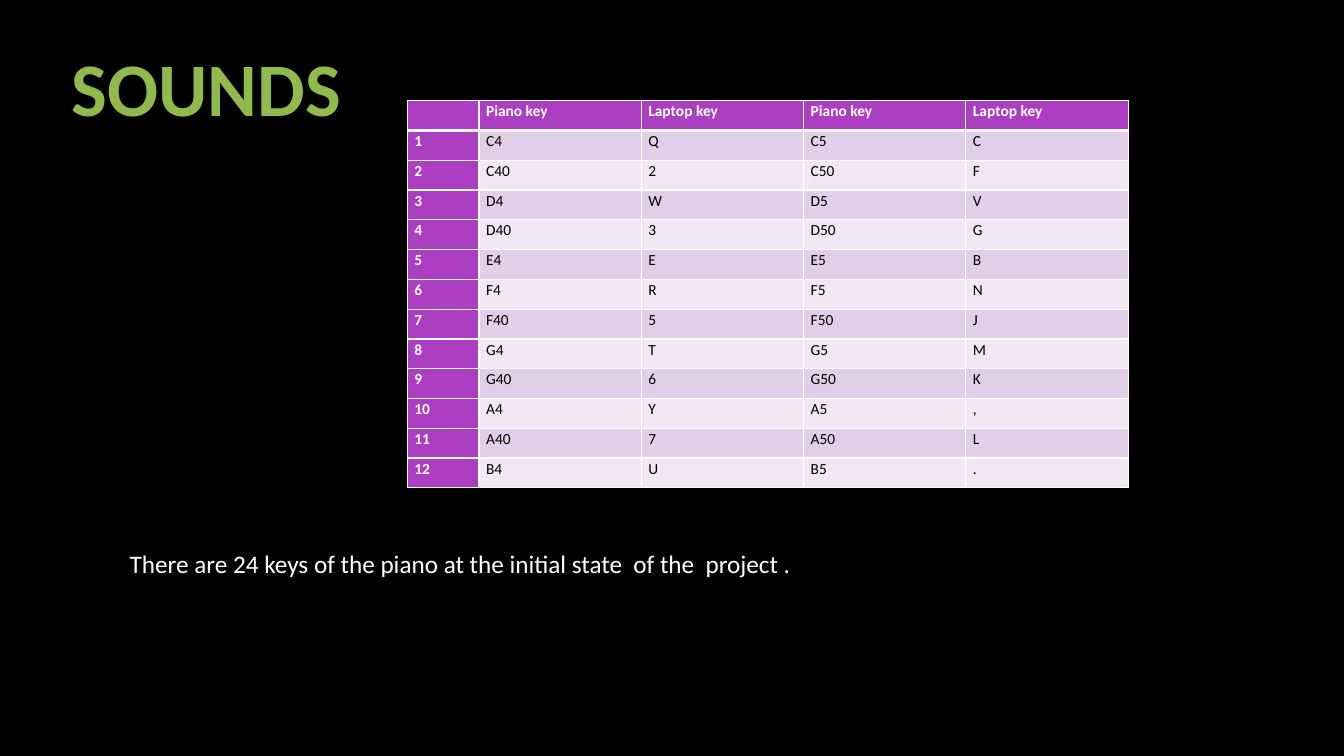
import pptx
import pptx.util
import pptx.dml.color
import pptx.enum.text
import pptx.oxml.ns
from lxml import etree

EMU_PER_PX = 3600
PURPLE = "AC3EC1"
BANDS = ["F1E8F4", "E3CEE9"]
WHITE = "FFFFFF"
HEADER = ["", "Piano key", "Laptop key", "Piano key", "Laptop key"]
NOTES = ["C", "C0", "D", "D0", "E", "F", "F0", "G", "G0", "A", "A0", "B"]
LOW_KEYS = "Q2W3ER5T6Y7U"
HIGH_KEYS = "CFVGBNJMK,L."


def px(length):
    return pptx.util.Emu(length * EMU_PER_PX)


def color(value):
    return pptx.dml.color.RGBColor.from_string(value)


def piano_key(note, octave):
    return note[0] + str(octave) + note[1:]


def add_run(paragraph, text, size, ink, bold=False):
    run = paragraph.add_run()
    run.text = text
    run.font.name = "Calibri"
    run.font.size = pptx.util.Pt(size)
    run.font.bold = bold
    run.font.color.rgb = color(ink)


def add_text(slide, box, text, size, ink, bold=False, wrap=True, align=None):
    frame = slide.shapes.add_textbox(*map(px, box)).text_frame
    frame.word_wrap = wrap
    frame.auto_size = pptx.enum.text.MSO_AUTO_SIZE.SHAPE_TO_FIT_TEXT
    frame.paragraphs[0].alignment = align
    add_run(frame.paragraphs[0], text, size, ink, bold)


def add_border(cell, side, points):
    properties = cell._tc.get_or_add_tcPr()
    line = etree.SubElement(properties, pptx.oxml.ns.qn("a:ln" + side))
    line.set("w", str(pptx.util.Pt(points)))
    fill = etree.SubElement(line, pptx.oxml.ns.qn("a:solidFill"))
    etree.SubElement(fill, pptx.oxml.ns.qn("a:srgbClr")).set("val", WHITE)


def fill_cell(cell, text, row, column):
    heading = row == 0 or column == 0
    cell.margin_left = cell.margin_right = px(18)
    cell.margin_top = cell.margin_bottom = 0
    widths = {"L": 1, "R": 1, "T": 3 if row == 1 else 1, "B": 3 if row == 0 else 1}
    for side, points in widths.items():
        add_border(cell, side, points)
    cell.fill.solid()
    cell.fill.fore_color.rgb = color(PURPLE if heading else BANDS[row % 2])
    paragraph = cell.text_frame.paragraphs[0]
    paragraph.line_spacing = 1.07
    paragraph.space_after = pptx.util.Pt(8)
    if text:
        add_run(paragraph, text, 11, WHITE if heading else "000000", heading)
    else:
        ending = etree.SubElement(paragraph._p, pptx.oxml.ns.qn("a:endParaRPr"))
        ending.set("sz", "1100")


def add_key_table(slide, left, top, widths, row_height, rows):
    box = (left, top, sum(widths), row_height * len(rows))
    frame = slide.shapes.add_table(len(rows), len(widths), *map(px, box))
    key_table = frame.table
    key_table.first_col = True
    for column, width in zip(key_table.columns, widths):
        column.width = px(width)
    for row, texts in enumerate(rows):
        key_table.rows[row].height = px(row_height)
        for column, text in enumerate(texts):
            fill_cell(key_table.cell(row, column), text, row, column)


def main():
    deck = pptx.Presentation()
    deck.slide_width, deck.slide_height = px(3387), px(1905)
    slide = deck.slides.add_slide(deck.slide_layouts[6])
    slide.background.fill.solid()
    slide.background.fill.fore_color.rgb = color("000000")

    add_text(slide, (152, 91, 737, 257), "SOUNDS", 54, "90BA4C", bold=True,
             wrap=False, align=pptx.enum.text.PP_ALIGN.CENTER)
    rows = [HEADER]
    for number, (note, low, high) in enumerate(zip(NOTES, LOW_KEYS, HIGH_KEYS), 1):
        rows.append([str(number), piano_key(note, 4), low, piano_key(note, 5), high])
    add_key_table(slide, 1026, 254, [181] + [409] * 4, 75, rows)
    add_text(slide, (302, 1369, 2266, 102),
             "There are 24 keys of the piano at the initial state  of the  project .",
             18, WHITE)
    deck.save("out.pptx")


if __name__ == "__main__":
    main()
